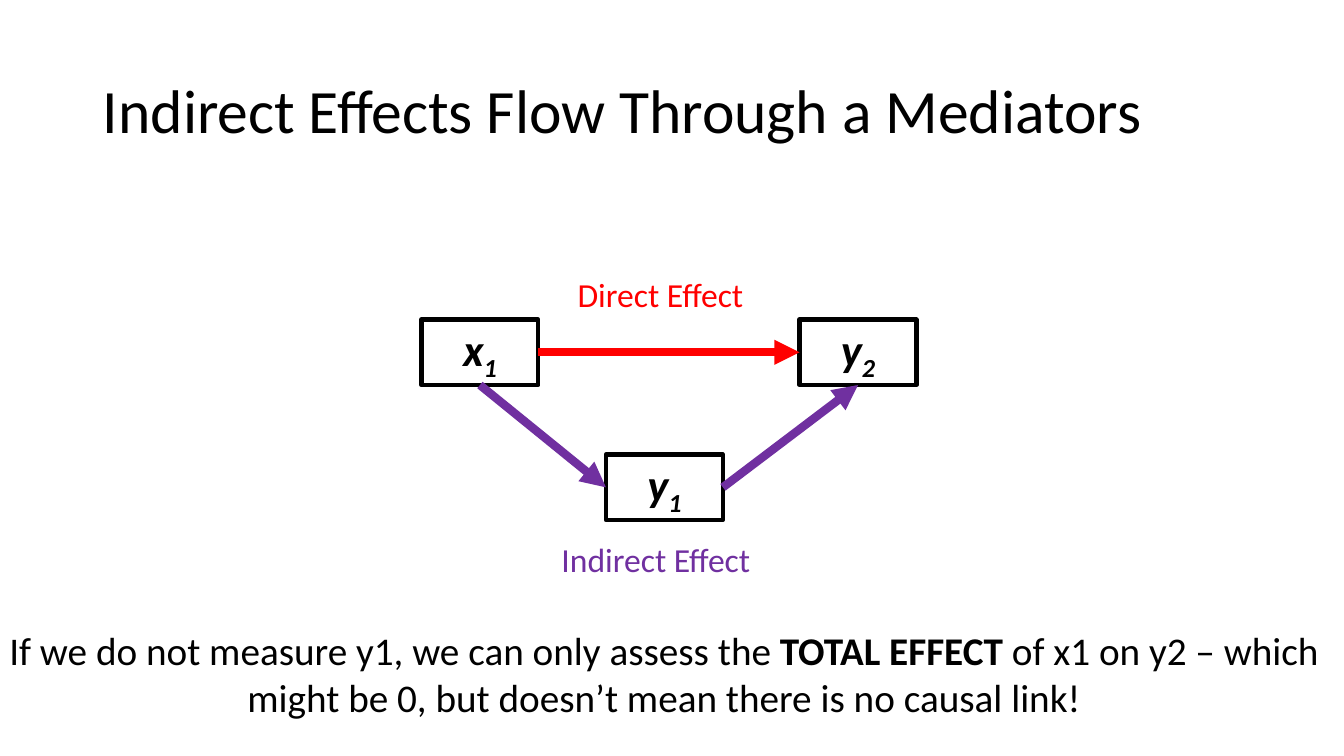
from pptx import Presentation
from pptx.dml.color import RGBColor
from pptx.enum.shapes import MSO_CONNECTOR, MSO_SHAPE
from pptx.enum.text import MSO_ANCHOR, PP_ALIGN
from pptx.oxml.ns import qn
from pptx.util import Inches, Pt
from lxml.etree import SubElement

COLORS = {"text": "000000", "direct": "FF0000", "indirect": "7030A0"}
FONT = "Calibri"
TOP, LEFT, BOTTOM, RIGHT = range(4)
NODE_WIDTH, NODE_HEIGHT = 1.16, 0.65


def color(name):
    return RGBColor.from_string(COLORS[name])


def format_run(run, size, color_name="text", bold=False, italic=False):
    font = run.font
    font.name, font.size = FONT, Pt(size)
    font.bold, font.italic = bold, italic
    font.color.rgb = color(color_name)


def add_title(slide, text, left, top, width, height):
    title = slide.shapes.title
    title.left, title.top = Inches(left), Inches(top)
    title.width, title.height = Inches(width), Inches(height)
    frame = title.text_frame
    frame.text = text
    frame.vertical_anchor = MSO_ANCHOR.MIDDLE
    paragraph = frame.paragraphs[0]
    paragraph.alignment = PP_ALIGN.LEFT
    paragraph.line_spacing = 0.9
    format_run(paragraph.runs[0], 44)


def add_node(slide, letter, index, left, top):
    node = slide.shapes.add_shape(
        MSO_SHAPE.RECTANGLE, Inches(left), Inches(top),
        Inches(NODE_WIDTH), Inches(NODE_HEIGHT))
    node.shadow.inherit = False
    node.fill.background()
    node.line.color.rgb = color("text")
    node.line.width = Pt(3)
    node.text_frame.vertical_anchor = MSO_ANCHOR.MIDDLE
    paragraph = node.text_frame.paragraphs[0]
    paragraph.alignment = PP_ALIGN.CENTER
    for text in (letter, index):
        run = paragraph.add_run()
        run.text = text
        format_run(run, 32, bold=True, italic=True)
    run._r.get_or_add_rPr().set("baseline", "-25000")
    return node


def add_arrow(slide, start, start_side, end, end_side, color_name):
    arrow = slide.shapes.add_connector(MSO_CONNECTOR.STRAIGHT, 0, 0, 0, 0)
    arrow.begin_connect(start, start_side)
    arrow.end_connect(end, end_side)
    arrow.line.color.rgb = color(color_name)
    arrow.line.width = Pt(6)
    SubElement(arrow.line._get_or_add_ln(), qn("a:tailEnd"), type="triangle")
    SubElement(arrow._element.spPr, qn("a:effectLst"))


def add_text(slide, parts, left, top, width, height, size,
             color_name="text", alignment=PP_ALIGN.LEFT, wrap=False):
    box = slide.shapes.add_textbox(
        Inches(left), Inches(top), Inches(width), Inches(height))
    box.text_frame.word_wrap = wrap
    paragraph = box.text_frame.paragraphs[0]
    paragraph.alignment = alignment
    for text, bold in parts:
        run = paragraph.add_run()
        run.text = text
        format_run(run, size, color_name, bold)


def add_path_diagram(slide, left, top):
    cause = add_node(slide, "x", "1", left, top)
    mediator = add_node(slide, "y", "1", left + 1.83, top + 1.34)
    outcome = add_node(slide, "y", "2", left + 3.75, top)
    add_arrow(slide, cause, BOTTOM, mediator, LEFT, "indirect")
    add_arrow(slide, mediator, RIGHT, outcome, BOTTOM, "indirect")
    add_arrow(slide, cause, RIGHT, outcome, LEFT, "direct")
    add_text(slide, [("Direct Effect", False)],
             left + 1.45, top - 0.5, 2.08, 0.5, 24, "direct")
    add_text(slide, [("Indirect Effect", False)],
             left + 1.29, top + 2.13, 2.31, 0.5, 24, "indirect")


def main():
    presentation = Presentation()
    presentation.slide_width = Inches(13.33)
    presentation.slide_height = Inches(7.5)
    slide = presentation.slides.add_slide(presentation.slide_layouts[5])
    add_title(slide, "Indirect Effects Flow Through a Mediators",
              0.92, 0.4, 11.5, 1.45)
    add_path_diagram(slide, 4.18, 3.17)
    add_text(slide, [
        ("If we do not measure y1, we can only assess the ", False),
        ("TOTAL EFFECT ", True),
        ("of x1 on y2 – which might be 0, but doesn’t mean "
         "there is no causal link!", False),
    ], -0.08, 6.16, 13.33, 1.04, 28, alignment=PP_ALIGN.CENTER, wrap=True)
    presentation.save("out.pptx")


if __name__ == "__main__":
    main()
